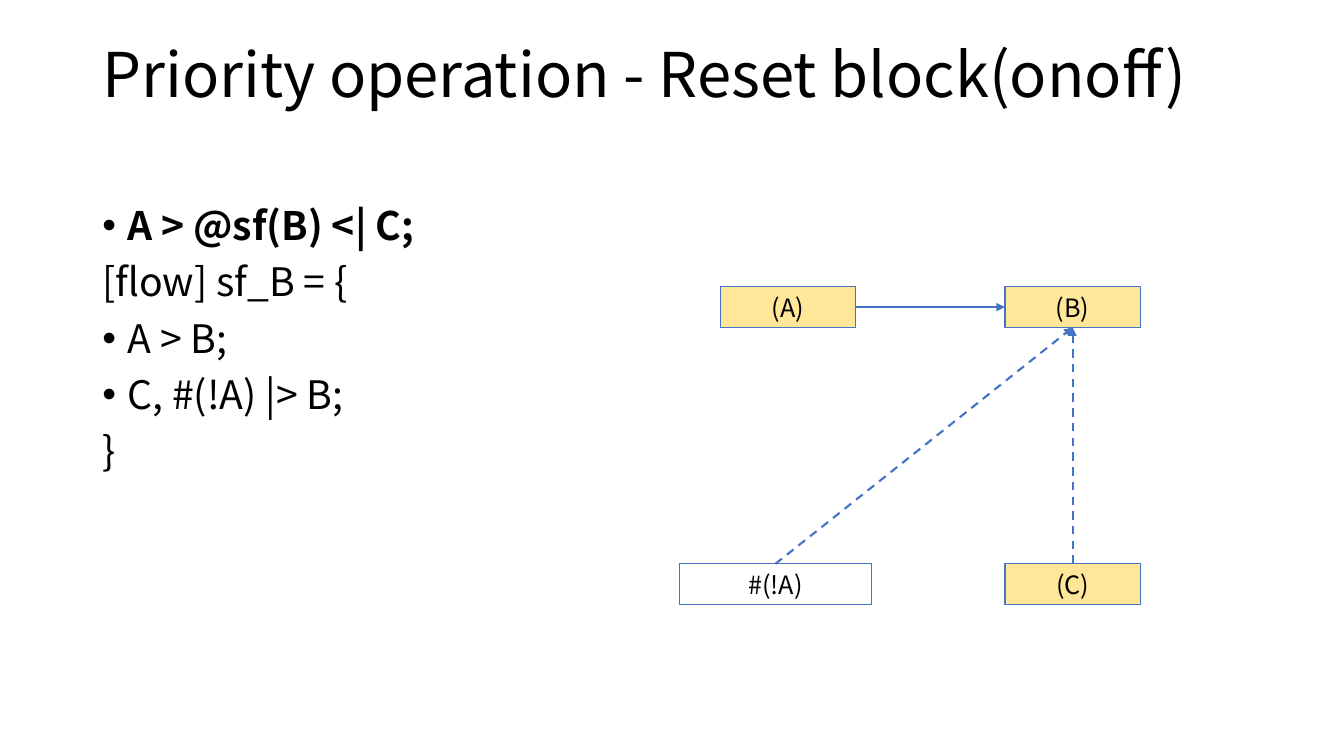
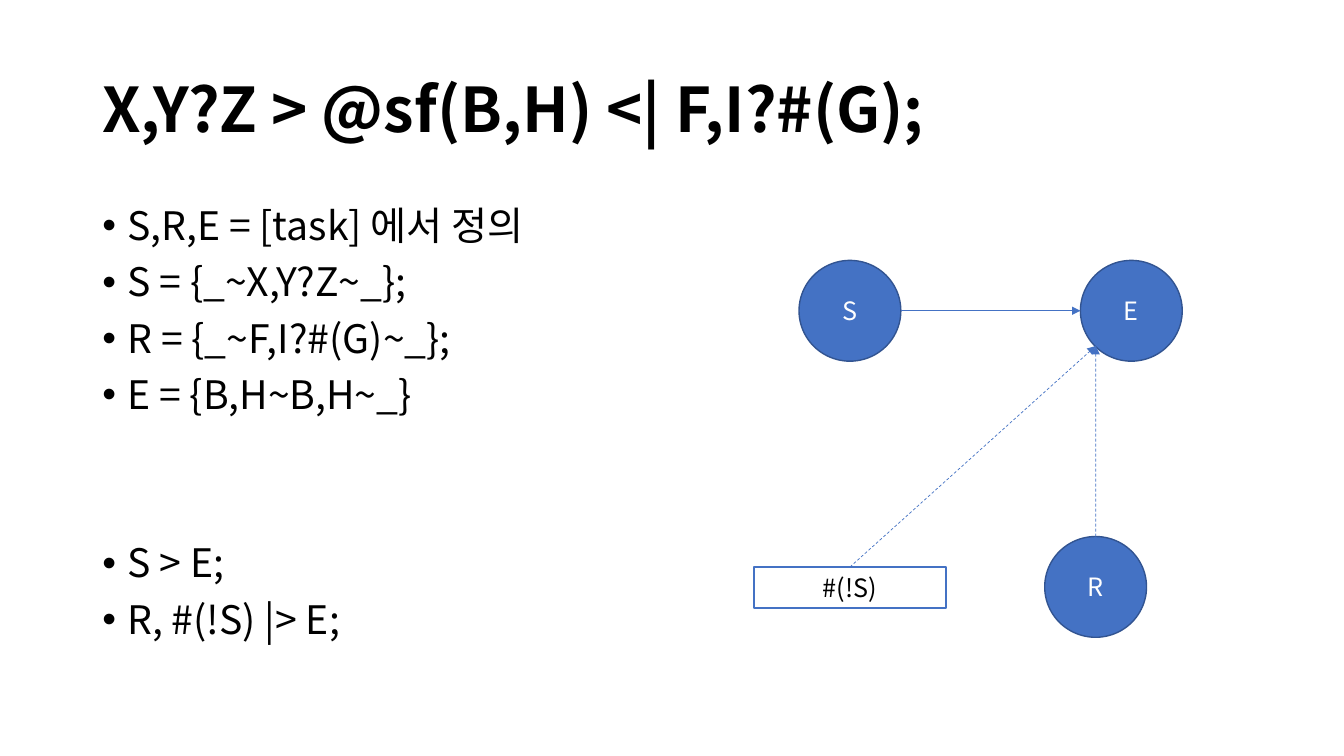
from lxml.etree import SubElement as Sub
from pptx import Presentation
from pptx.dml.color import RGBColor as RGB
from pptx.enum.dml import MSO_LINE as Dash
from pptx.enum.shapes import MSO_CONNECTOR as Link, MSO_SHAPE as Form
from pptx.enum.text import MSO_ANCHOR as Anchor, PP_ALIGN as Align
from pptx.oxml.ns import qn
from pptx.util import Emu, Pt

PX = 9525
FACE = "Noto Sans CJK KR"
HUES = {
    "black": "000000",
    "white": "FFFFFF",
    "blue": "4472C4",
    "navy": "325491",
    "gold": "FFE699",
}
KINDS = {
    "box": (Form.RECTANGLE, 129, 39, "gold", "blue", "black"),
    "wide": (Form.RECTANGLE, 183, 39, "white", "blue", "black"),
    "disc": (Form.OVAL, 97, 96, "blue", "navy", "white"),
}
SIDES = {
    "top": (0.5, 0, 0),
    "left": (0, 0.5, 1),
    "low": (0.5, 1, 2),
    "right": (1, 0.5, 3),
    "edge": (0.15, 0.85, None),
}
SLIDES = [
    {
        "title": ("Priority operation - Reset block(onoff)", 4, False),
        "body": [
            ("A > @sf(B) <| C;", True, True, 0),
            ("[flow] sf_B = {", False, False, 10),
            ("A > B;", True, False, 10),
            ("C, #(!A) |> B;", True, False, 10),
            ("}", False, False, 10),
        ],
        "nodes": [
            ("#(!A)", "wide", 647, 537),
            ("(A)", "box", 686, 273),
            ("(B)", "box", 957, 273),
            ("(C)", "box", 957, 537),
        ],
        "links": [
            ("(C)", "top", "(B)", "low", True),
            ("#(!A)", "top", "(B)", "low", True),
            ("(A)", "right", "(B)", "left", False),
        ],
        "width": 1.5,
    },
    {
        "title": ("X,Y?Z > @sf(B,H) <| F,I?#(G);", 38, True),
        "body": [
            ("S,R,E = [task] 에서 정의", True, False, 0),
            ("S = {_~X,Y?Z~_};", True, False, 10),
            ("R = {_~F,I?#(G)~_};", True, False, 10),
            ("E = {B,H~B,H~_}", True, False, 10),
            ("S > E;", True, False, 90),
            ("R, #(!S) |> E;", True, False, 10),
        ],
        "nodes": [
            ("S", "disc", 761, 248),
            ("E", "disc", 1029, 248),
            ("R", "disc", 995, 511),
            ("#(!S)", "wide", 718, 540),
        ],
        "links": [
            ("R", "top", "E", "edge", True),
            ("#(!S)", "top", "E", "edge", True),
            ("S", "right", "E", "left", False),
        ],
        "width": 0.5,
    },
]


def px(*nums):
    return [Emu(round(n * PX)) for n in nums]


def write(para, text, size, hue="black", bold=False, **form):
    run = para.add_run()
    run.text = text
    for key, val in {"name": FACE, "size": Pt(size), "bold": bold}.items():
        setattr(run.font, key, val)
    run.font.color.rgb = RGB.from_string(HUES[hue])
    for key, val in form.items():
        setattr(para, key, val)


deck = Presentation()
deck.slide_width, deck.slide_height = px(1280, 720)

for page in SLIDES:
    slide = deck.slides.add_slide(deck.slide_layouts[6])
    shapes = slide.shapes

    text, top, bold = page["title"]
    frame = shapes.add_textbox(*px(88, top, 1104, 139)).text_frame
    frame.word_wrap = True
    frame.vertical_anchor = Anchor.MIDDLE
    write(frame.paragraphs[0], text, 44, bold=bold, line_spacing=0.9)

    frame = shapes.add_textbox(*px(88, 192, 1104, 457)).text_frame
    frame.word_wrap = True
    for row, (text, dot, bold, gap) in enumerate(page["body"]):
        para = frame.add_paragraph() if row else frame.paragraphs[0]
        if dot:
            props = para._p.get_or_add_pPr()
            props.set("marL", str(24 * PX))
            props.set("indent", str(-24 * PX))
            Sub(props, qn("a:buFont"), typeface="Arial")
            Sub(props, qn("a:buChar"), char="•")
        write(para, text, 28, bold=bold, line_spacing=0.9, space_before=Pt(gap))

    nodes = {}
    for text, kind, left, top in page["nodes"]:
        form, wide, high, fill, edge, ink = KINDS[kind]
        node = shapes.add_shape(form, *px(left, top, wide, high))
        node.shadow.inherit = False
        node.fill.solid()
        node.fill.fore_color.rgb = RGB.from_string(HUES[fill])
        node.line.color.rgb = RGB.from_string(HUES[edge])
        node.line.width = Pt(1)
        node.text_frame.vertical_anchor = Anchor.MIDDLE
        write(node.text_frame.paragraphs[0], text, 18, ink, alignment=Align.CENTER)
        nodes[text] = node

    for start, out, end, into, dashed in page["links"]:
        ends = [(nodes[start], *SIDES[out]), (nodes[end], *SIDES[into])]
        spots = []
        for node, across, down, site in ends:
            spots.append(Emu(round(node.left + node.width * across)))
            spots.append(Emu(round(node.top + node.height * down)))
        link = shapes.add_connector(Link.STRAIGHT, *spots)
        for join, (node, across, down, site) in zip((link.begin_connect, link.end_connect), ends):
            if node.auto_shape_type == Form.RECTANGLE:
                join(node, site)
        link.line.color.rgb = RGB.from_string(HUES["blue"])
        link.line.width = Pt(page["width"])
        if dashed:
            link.line.dash_style = Dash.DASH
        props = link._element.spPr
        Sub(props.find(qn("a:ln")), qn("a:tailEnd"), type="triangle")
        Sub(props, qn("a:effectLst"))

deck.save("out.pptx")
